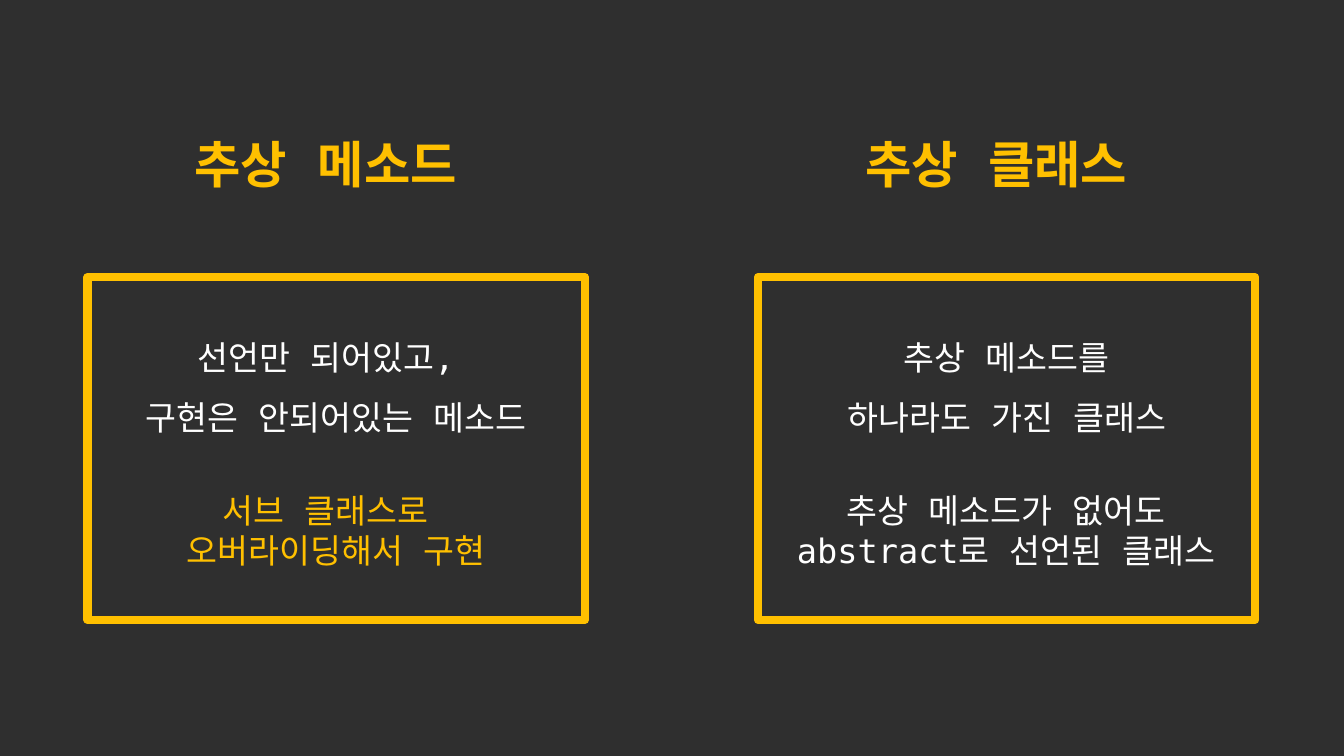
from dataclasses import dataclass

from lxml import etree
from pptx import Presentation
from pptx.dml.color import RGBColor
from pptx.enum.shapes import MSO_SHAPE
from pptx.enum.text import MSO_ANCHOR, MSO_AUTO_SIZE, PP_ALIGN
from pptx.oxml.ns import qn
from pptx.util import Inches, Pt

RECT = MSO_SHAPE.RECTANGLE
TOP = MSO_ANCHOR.TOP
FIXED = MSO_AUTO_SIZE.NONE
LEFT = PP_ALIGN.LEFT
CENTER = PP_ALIGN.CENTER


@dataclass(frozen=True)
class Theme:
    font: str = "DejaVu Sans Mono"
    back: RGBColor = RGBColor(0x2F, 0x2F, 0x2F)
    gold: RGBColor = RGBColor(0xFF, 0xC0, 0x00)
    white: RGBColor = RGBColor(0xFF, 0xFF, 0xFF)
    head: Pt = Pt(36)
    body: Pt = Pt(24)
    edge: Pt = Pt(6)


class Deck:
    def __init__(self, theme):
        self.theme = theme
        self.file = Presentation()
        self.file.slide_width = Inches(13.33)
        self.file.slide_height = Inches(7.5)

    def page(self, layout):
        self.slide = self.file.slides.add_slide(self.file.slide_layouts.get_by_name(layout))
        fill = self.slide.background.fill
        fill.solid()
        fill.fore_color.rgb = self.theme.back

    def place(self, shape, box):
        shape.left, shape.top, shape.width, shape.height = (Inches(n) for n in box)

    def label(self, shape, lines, size, color, align=CENTER, space=1.0, bold=False):
        frame = shape.text_frame
        frame.word_wrap = True
        frame.auto_size = FIXED
        frame.vertical_anchor = TOP
        for row, line in enumerate(lines):
            para = frame.paragraphs[0] if row == 0 else frame.add_paragraph()
            para.alignment = align
            para.line_spacing = space
            para.space_before = Pt(0)
            props = para._p.get_or_add_pPr()
            props.set("marL", "0")
            props.set("indent", "0")
            etree.SubElement(props, qn("a:buNone"))
            run = para.add_run()
            run.text = line
            run.font.size = size
            run.font.bold = bold
            run.font.color.rgb = color
            run.font.name = self.theme.font
            asian = etree.SubElement(run._r.get_or_add_rPr(), qn("a:ea"))
            asian.set("typeface", self.theme.font)

    def head(self, slot, box, text):
        shape = self.slide.placeholders[slot]
        self.place(shape, box)
        self.label(shape, [text], self.theme.head, self.theme.gold, align=LEFT, bold=True)

    def body(self, slot, box, lines):
        shape = self.slide.placeholders[slot]
        self.place(shape, box)
        self.label(shape, lines, self.theme.body, self.theme.white, space=1.5)

    def note(self, box, lines, color):
        shape = self.slide.shapes.add_textbox(*(Inches(n) for n in box))
        self.label(shape, lines, self.theme.body, color)

    def frame(self, box):
        shape = self.slide.shapes.add_shape(RECT, *(Inches(n) for n in box))
        shape.shadow.inherit = False
        shape.fill.background()
        shape.line.color.rgb = self.theme.gold
        shape.line.width = self.theme.edge

    def prune(self):
        for shape in list(self.slide.placeholders):
            if not shape.text_frame.text:
                shape._element.getparent().remove(shape._element)


theme = Theme()
deck = Deck(theme)
deck.page("Comparison")

START, STEP = 0.87, 6.65
PANELS = [
    ("추상 메소드", ["선언만 되어있고, ", "구현은 안되어있는 메소드"],
     ["서브 클래스로 ", "오버라이딩해서 구현"], theme.gold),
    ("추상 클래스", ["추상 메소드를", "하나라도 가진 클래스"],
     ["추상 메소드가 없어도", "abstract로 선언된 클래스"], theme.white),
]

for col, (title, lines, extra, color) in enumerate(PANELS):
    left = START + col * STEP
    slot = 1 + 2 * col
    deck.head(slot, (left + 0.96, 1.27, 3, 0.71), title)
    deck.body(slot + 1, (left + 0.11, 3.09, 4.71, 1.25), lines)
    deck.note((left + 0.27, 4.81, 4.38, 0.91), extra, color)
    deck.frame((left, 2.75, 4.93, 3.4))

deck.prune()
deck.file.save("out.pptx")
